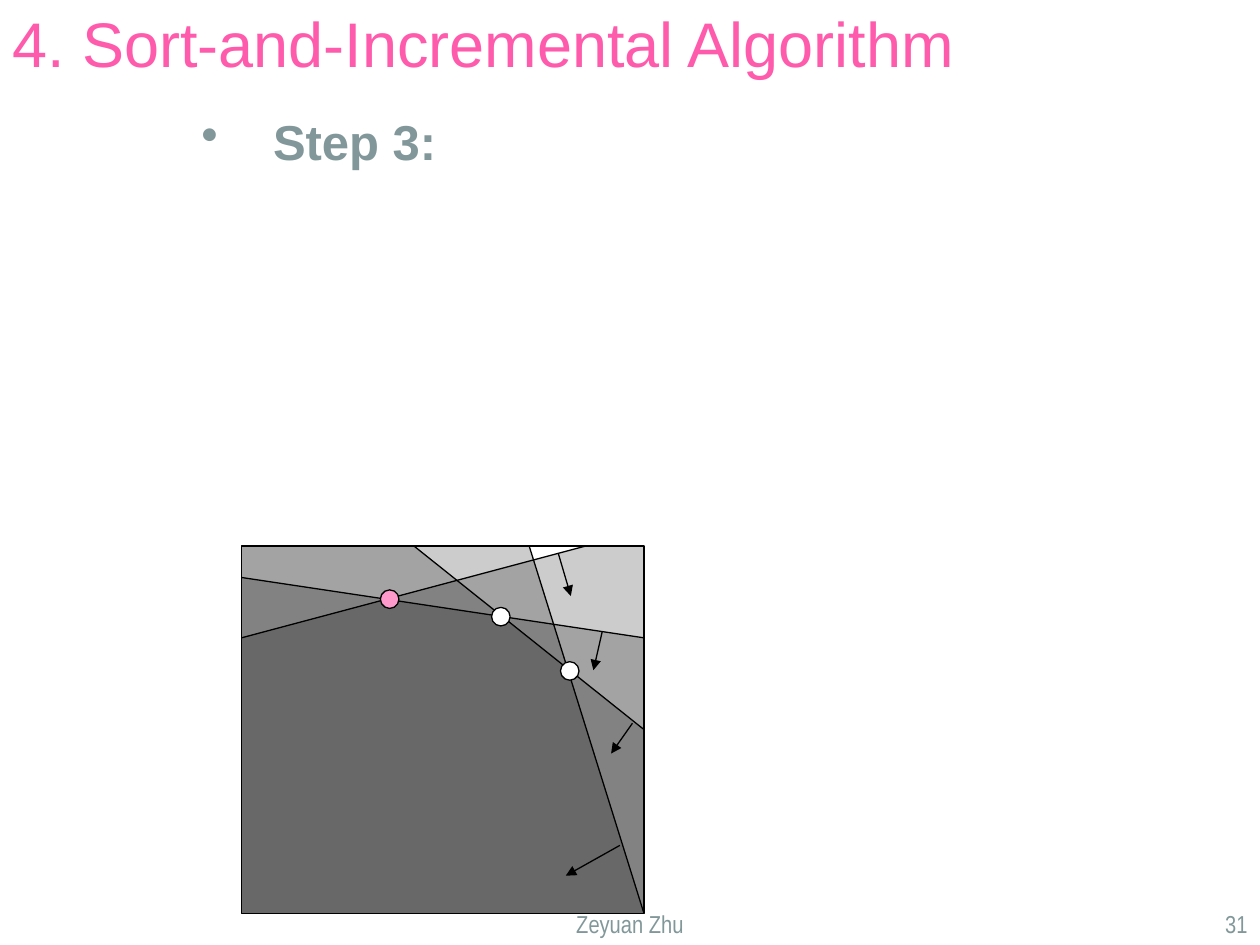
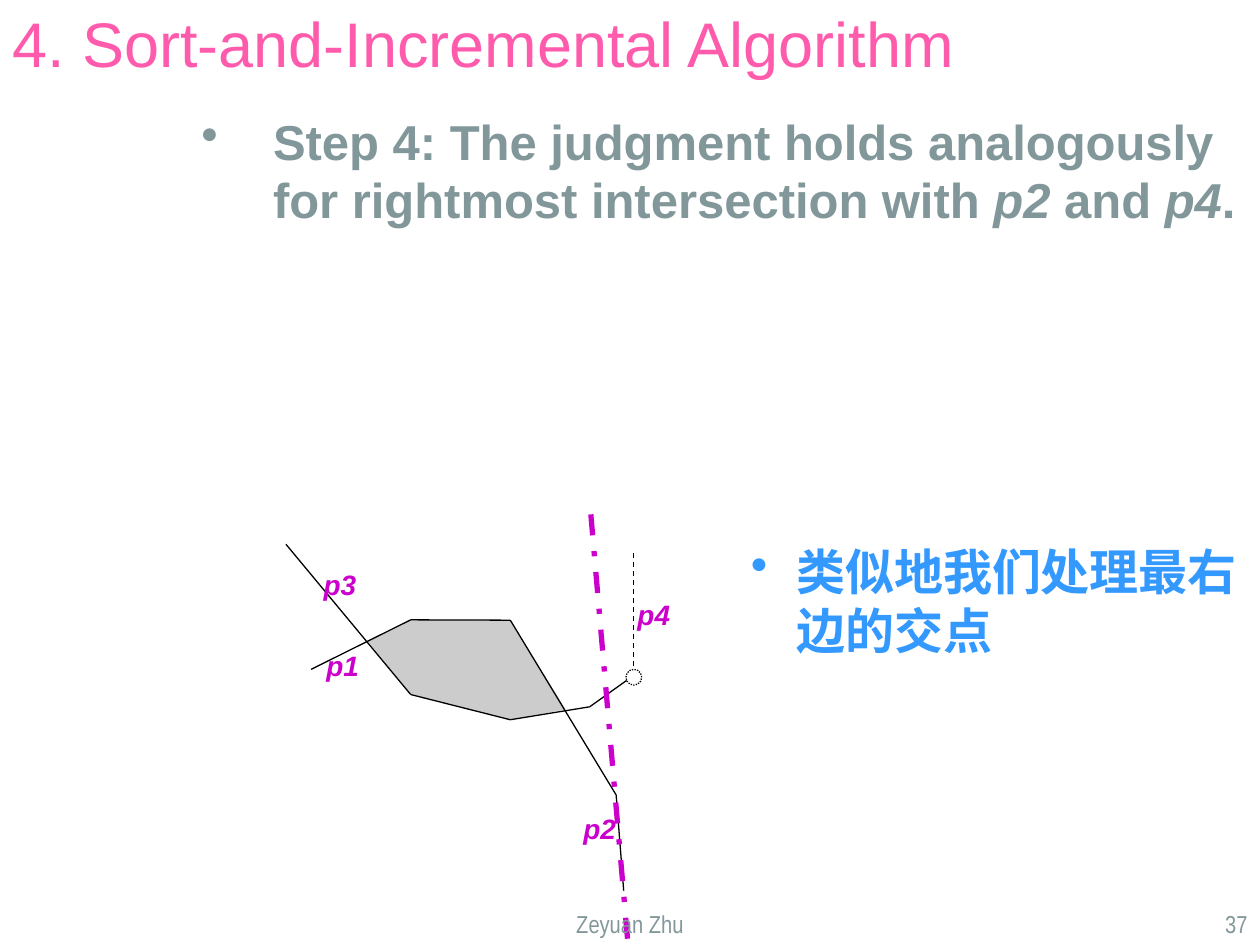
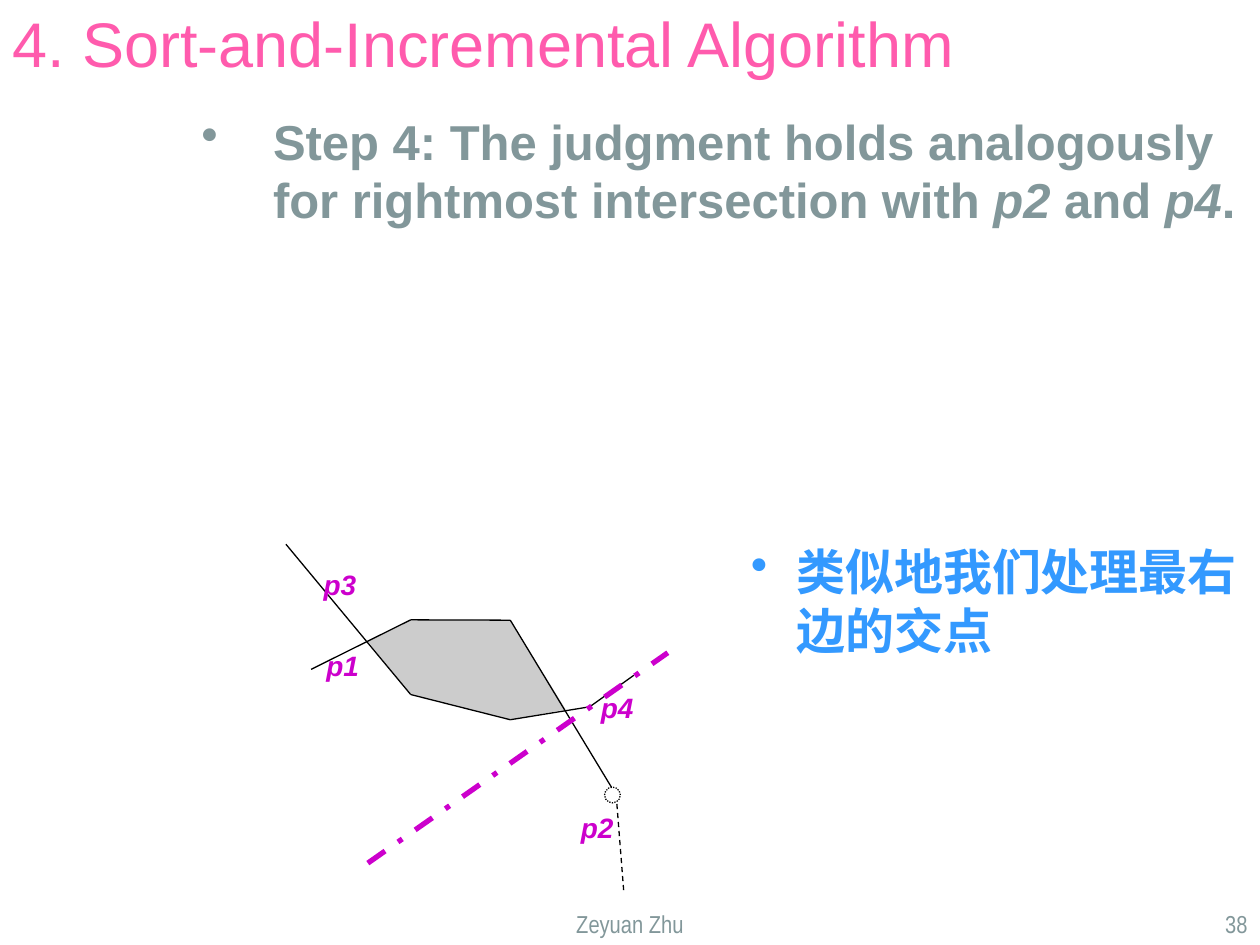
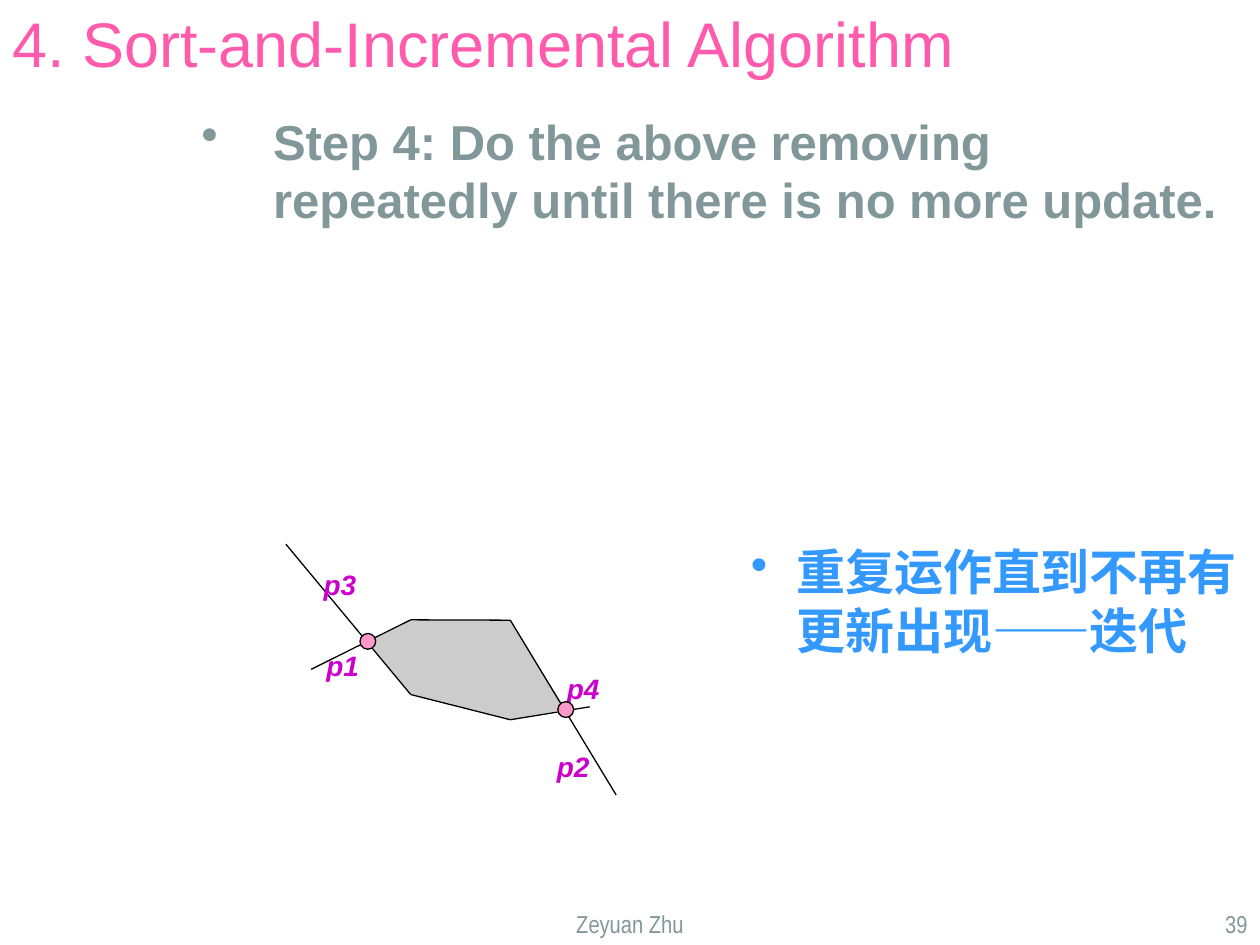
from lxml.etree import SubElement
from pptx import Presentation
from pptx.dml.color import RGBColor
from pptx.enum.dml import MSO_LINE
from pptx.enum.shapes import MSO_CONNECTOR, MSO_SHAPE
from pptx.enum.text import MSO_ANCHOR, PP_ALIGN
from pptx.oxml.ns import qn
from pptx.util import Pt

COLORS = {
    "title": "FF5BAD", "gray": "82979A", "blue": "3399FF", "label": "CC00CC",
    "black": "000000", "white": "FFFFFF", "pink": "FF99CC",
}
TITLE = "4. Sort-and-Incremental Algorithm"
AUTHOR = "Zeyuan Zhu"
RIGHT_STEP = [
    ("Step 4: The judgment holds analogously for rightmost intersection with ", False),
    ("p2 ", True), ("and ", False), ("p4", True), (".", False),
]
LAST_STEP = [("Step 4: Do the above removing repeatedly until there is no more update.", False)]
RIGHT_NOTE = "类似地我们处理最右边的交点"
LAST_NOTE = "重复运作直到不再有更新出现——迭代"

# Half-planes inside a frame: each has a border line, the frame corners
# that close its area, and an arrow towards its inner side.
LEFT, TOP, RIGHT, BOTTOM = 138, 312, 368, 522
NW, NE, SE, SW = (LEFT, TOP), (RIGHT, TOP), (RIGHT, BOTTOM), (LEFT, BOTTOM)
PLANES = [
    {"border": [(LEFT, 330), (RIGHT, 364.5)], "corners": [SE, SW],
     "arrow": [(344.2, 360.7), (339.1, 383)]},
    {"border": [(302.4, TOP), SE], "corners": [SW, NW],
     "arrow": [(354.2, 483.1), (323.3, 500.4)]},
    {"border": [(236.5, TOP), (RIGHT, 416.9)], "corners": [SE, SW, NW],
     "arrow": [(361.4, 413.3), (349.2, 430.6)]},
    {"border": [(334.8, TOP), (LEFT, 364.5)], "corners": [SW, SE, NE],
     "arrow": [(319, 316.1), (326.2, 340.6)]},
]
CORNERS = [((325.6, 383.4), "white"), ((286.2, 352.4), "white"), ((222.7, 342.4), "pink")]

# Two chains of lines that cross at the ends of the shaded region.
LOWER = [(163.4, 311), (234.7, 396.9), (291.6, 411.3), (337, 403.9), (362.2, 385.9)]
UPPER = [(177.8, 382.5), (234.7, 354.2), (291.6, 354.4), (352.1, 454.3), (356.4, 509)]
CROSS = [(210.2, 366.5), (323.3, 405.5)]
REGION = [*LOWER[1:3], CROSS[1], UPPER[2], UPPER[1], CROSS[0]]
LABELS = {"p1": (186.5, 370.8), "p3": (185, 324.4)}
CASES = [
    {"page": 37, "step": RIGHT_STEP, "note": RIGHT_NOTE,
     "solid": [LOWER, UPPER], "dash": [LOWER[-1], (362.2, 315.4)],
     "labels": {"p2": (333.4, 463.7), "p4": (364.3, 341.3)},
     "ring": (362.2, 387), "cut": [(358.6, 536.4), (337, 286.6)]},
    {"page": 38, "step": RIGHT_STEP, "note": RIGHT_NOTE,
     "solid": [LOWER, UPPER[:-1]], "dash": UPPER[-2:],
     "labels": {"p2": (331.9, 463), "p4": (343.4, 394.6)},
     "ring": (350, 454.3), "cut": [(210.2, 493.2), (381.6, 373)]},
    {"page": 39, "step": LAST_STEP, "note": LAST_NOTE,
     "solid": [LOWER[:-1], UPPER[:-1]],
     "labels": {"p2": (318.2, 428.4), "p4": (324, 383.8)}, "dots": CROSS},
]


def rgb(name):
    return RGBColor.from_string(COLORS[name])


def style(font, size, color, name="Arial", bold=False):
    font.size, font.name, font.bold = Pt(size), name, bold
    font.color.rgb = rgb(color)


def add_text(slide, box, runs, size, color, name="Arial", bold=False, align=PP_ALIGN.LEFT):
    """Add a one-paragraph box; runs are (text, italic) pairs."""
    frame = slide.shapes.add_textbox(*map(Pt, box)).text_frame
    frame.word_wrap = True
    para = frame.paragraphs[0]
    para.alignment = align
    style(para.font, size, color, name, bold)
    for text, italic in runs:
        run = para.add_run()
        run.text = text
        style(run.font, size, color, name, bold)
        run.font.italic = italic
    return frame


def add_bullet(slide, box, runs, color, margin, hang):
    para = add_text(slide, box, runs, 28, color, bold=True).paragraphs[0]
    para.space_before, para.line_spacing = Pt(7), Pt(33.6)
    props = para._p.get_or_add_pPr()
    props.set("marL", str(Pt(margin)))
    props.set("indent", str(-Pt(hang)))
    mark = props.makeelement(qn("a:buChar"), {"char": "•"})
    props.find(qn("a:spcBef")).addnext(mark)


def add_label(slide, text, spot):
    frame = add_text(slide, (*spot, 25.5, 20), [(text, True)], 16, "label",
                     bold=True, align=PP_ALIGN.JUSTIFY)
    frame.margin_left = frame.margin_right = frame.margin_top = frame.margin_bottom = 0


def add_line(slide, start, end, color="black", width=0.75, dash=None, arrow=False):
    wire = slide.shapes.add_connector(MSO_CONNECTOR.STRAIGHT, *map(Pt, (*start, *end)))
    wire.line.color.rgb, wire.line.width = rgb(color), Pt(width)
    if dash:
        wire.line.dash_style = dash
    if arrow:
        SubElement(wire.line._get_or_add_ln(), qn("a:tailEnd"), type="triangle")
    SubElement(wire._element.spPr, qn("a:effectLst"))


def add_chain(slide, points):
    for start, end in zip(points, points[1:]):
        add_line(slide, start, end)


def add_area(slide, points):
    """Add a borderless polygon in black at 20 % opacity."""
    first, *rest = [tuple(map(Pt, point)) for point in points]
    pen = slide.shapes.build_freeform(*first)
    pen.add_line_segments(rest, close=True)
    area = pen.convert_to_shape()
    area.shadow.inherit = False
    area.line.fill.background()
    area.fill.solid()
    area.fill.fore_color.rgb = rgb("black")
    tint = area._element.spPr.find(qn("a:solidFill"))[0]
    SubElement(tint, qn("a:alpha"), val="20000")


def add_shape(slide, kind, box, fill=None):
    shape = slide.shapes.add_shape(kind, *map(Pt, box))
    shape.shadow.inherit = False
    shape.line.color.rgb, shape.line.width = rgb("black"), Pt(0.75)
    if fill:
        shape.fill.solid()
        shape.fill.fore_color.rgb = rgb(fill)
    else:
        shape.fill.background()
    return shape


def add_dot(slide, center, size, fill):
    x, y = center
    return add_shape(slide, MSO_SHAPE.OVAL, (x - size / 2, y - size / 2, size, size), fill)


def start_slide(deck, step):
    slide = deck.slides.add_slide(deck.slide_layouts[6])
    head = add_text(slide, (0, 0, 588, 48), [(TITLE, False)], 36, "title")
    head.vertical_anchor = MSO_ANCHOR.MIDDLE
    add_bullet(slide, (108, 60, 612, 198), step, "gray", 41, 41)
    return slide


def add_footer(slide, page):
    for box, text, align in [((246, 516, 228, 24), AUTHOR, PP_ALIGN.CENTER),
                             ((570, 516, 150, 24), str(page), PP_ALIGN.RIGHT)]:
        add_text(slide, box, [(text, False)], 14, "gray", "Arial Narrow", align=align)


def draw_planes(deck):
    slide = start_slide(deck, [("Step 3:", False)])
    for plane in PLANES:
        add_area(slide, plane["border"] + plane["corners"])
    add_shape(slide, MSO_SHAPE.RECTANGLE, (LEFT, TOP, RIGHT - LEFT, BOTTOM - TOP))
    for plane in PLANES:
        add_line(slide, *plane["border"])
        add_line(slide, *plane["arrow"], arrow=True)
    for center, fill in CORNERS:
        add_dot(slide, center, 10.6, fill)
    add_footer(slide, 31)


def draw_case(deck, case):
    slide = start_slide(deck, case["step"])
    add_bullet(slide, (414, 306, 306, 234), [(case["note"], False)], "blue", 34, 26)
    add_area(slide, REGION)
    for chain in case["solid"]:
        add_chain(slide, chain)
    if "dash" in case:
        add_line(slide, *case["dash"], dash=MSO_LINE.DASH)
    for text, spot in (LABELS | case["labels"]).items():
        add_label(slide, text, spot)
    if "ring" in case:
        ring = add_dot(slide, case["ring"], 9, "white")
        ring.line.dash_style = MSO_LINE.ROUND_DOT
        add_line(slide, *case["cut"], "label", 3, MSO_LINE.DASH_DOT)
    for center in case.get("dots", []):
        add_dot(slide, center, 9, "pink")
    add_footer(slide, case["page"])


def main():
    deck = Presentation()
    deck.slide_width, deck.slide_height = Pt(720), Pt(540)
    draw_planes(deck)
    for case in CASES:
        draw_case(deck, case)
    deck.save("out.pptx")


if __name__ == "__main__":
    main()
